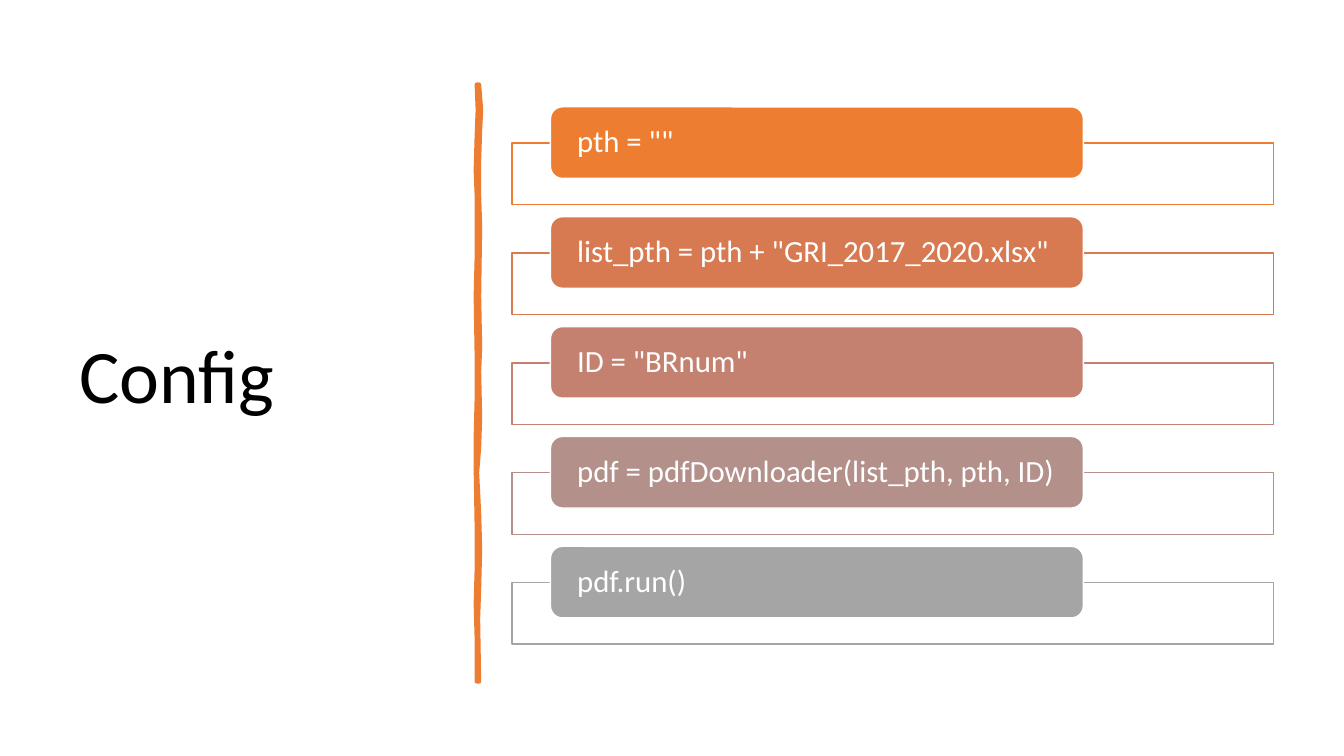
from pptx import Presentation
from pptx.dml.color import RGBColor
from pptx.enum.shapes import MSO_SHAPE
from pptx.enum.text import MSO_ANCHOR, PP_ALIGN
from pptx.oxml.ns import qn
from pptx.util import Inches, Pt
from lxml import etree

RECT, ROUND = MSO_SHAPE.RECTANGLE, MSO_SHAPE.ROUNDED_RECTANGLE
MIDDLE, LEFT = MSO_ANCHOR.MIDDLE, PP_ALIGN.LEFT
ORANGE, WHITE, BLACK = "ED7D31", "FFFFFF", "000000"
STEPS = [
    ('pth = ""', ORANGE),
    ('list_pth = pth + "GRI_2017_2020.xlsx"', "D87A51"),
    ('ID = "BRnum"', "C48170"),
    ("pdf = pdfDownloader(list_pth, pth, ID)", "B4908B"),
    ("pdf.run()", "A5A5A5"),
]
RIGHT_EDGE = [(0.02, 0), (0.04, 0.25), (0.03, 0.45), (0.02, 0.75), (0.02, 1.1),
              (0.03, 1.4), (0.02, 2.1), (0.03, 2.6), (0.02, 2.85), (0.03, 3.3),
              (0.02, 3.6), (0, 3.85), (0.02, 4.25), (0.03, 4.6), (0.02, 5),
              (0.01, 5.3), (0.02, 5.92)]
LEFT_EDGE = [(0, 5.92), (0, 5.5), (-0.01, 5.15), (0, 4.8), (0, 4.4),
             (-0.01, 3.8), (-0.01, 3.5), (0, 3.1), (0, 2.7), (-0.01, 2.1),
             (0, 1.7), (0, 1.1), (-0.01, 0.85), (0, 0.5), (0.01, 0.25), (0, 0)]


def tint(color, code):
    """Set a colour format from a hex string."""
    color.rgb = RGBColor.from_string(code)


def paint(shape, fill, line, width):
    """Give a shape a flat fill and line without shadow."""
    shape.shadow.inherit = False
    shape.fill.solid()
    tint(shape.fill.fore_color, fill)
    tint(shape.line.color, line)
    shape.line.width = Pt(width)


def write(shape, text, size, code, inset):
    """Put one left-aligned, vertically centred line into a shape."""
    frame = shape.text_frame
    frame.word_wrap = True
    frame.vertical_anchor = MIDDLE
    frame.margin_left = frame.margin_right = Inches(inset)
    frame.margin_top = frame.margin_bottom = 0
    para = frame.paragraphs[0]
    para.alignment, para.line_spacing = LEFT, 0.9
    run = para.add_run()
    run.text = text
    run.font.name, run.font.size = "Calibri", Pt(size)
    tint(run.font.color, code)


def add_title(slide, left, top, width, height):
    """Place the title in its box."""
    box = slide.shapes.add_textbox(*map(Inches, (left, top, width, height)))
    write(box, "Config", 54, BLACK, 0.1)


def add_stroke(slide, left, top):
    """Draw the wavy upright divider."""
    spots = [(Inches(left + x), Inches(top + y)) for x, y in RIGHT_EDGE + LEFT_EDGE]
    pen = slide.shapes.build_freeform(*spots[0])
    pen.add_line_segments(spots[1:])
    stroke = pen.convert_to_shape()
    paint(stroke, ORANGE, ORANGE, 3.25)
    etree.SubElement(stroke.line._get_or_add_ln(), qn("a:round"))


def add_step(slide, left, top, width, text, code):
    """Place a coloured label over its outlined bar."""
    bar = slide.shapes.add_shape(
        RECT, *map(Inches, (left, top + 0.36, width, 0.61)))
    paint(bar, WHITE, code, 1)
    shade = bar.fill._xPr.find(qn("a:solidFill"))[0]
    etree.SubElement(shade, qn("a:alpha"), val="90000")
    label = slide.shapes.add_shape(
        ROUND, *map(Inches, (left + 0.38, top, width * 0.7, 0.71)))
    paint(label, code, WHITE, 1)
    write(label, text, 22, WHITE, 0.23)


def add_steps(slide, left, top, width, pitch):
    """Stack the steps at an even pitch."""
    for row, (text, code) in enumerate(STEPS):
        add_step(slide, left, top + row * pitch, width, text, code)


def main():
    """Build and save the slide."""
    deck = Presentation()
    deck.slide_width, deck.slide_height = Inches(13.33), Inches(7.5)
    slide = deck.slides.add_slide(deck.slide_layouts[6])
    add_title(slide, 0.69, 0.7, 3.74, 6.11)
    add_stroke(slide, 4.73, 0.84)
    add_steps(slide, 5.08, 1.06, 7.55, 1.09)
    deck.save("out.pptx")


main()
